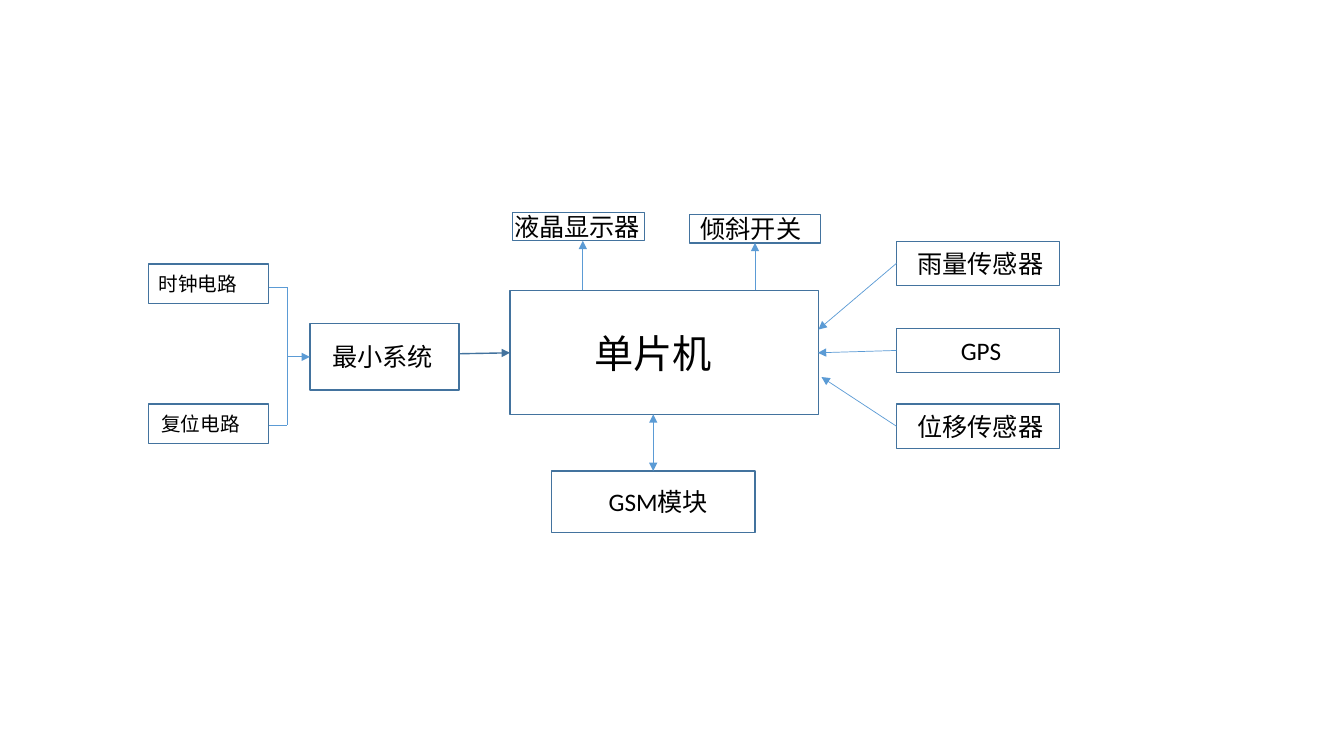
from pptx import Presentation
from pptx.dml.color import RGBColor
from pptx.enum.shapes import MSO_CONNECTOR, MSO_SHAPE
from pptx.enum.text import MSO_ANCHOR, PP_ALIGN
from pptx.oxml.ns import qn
from pptx.util import Pt
from lxml import etree

RECT = MSO_SHAPE.RECTANGLE
STRAIGHT = MSO_CONNECTOR.STRAIGHT
MIDDLE = MSO_ANCHOR.MIDDLE
LEFT = PP_ALIGN.LEFT
COLORS = {"fill": "FFFFFF", "border": "43739E", "arrow": "5B9BD5", "text": "000000"}
FONT = "Calibri"


def rgb(name):
    return RGBColor.from_string(COLORS[name])


def write(tf, text, size=18, color="text", indent=0):
    """Write one left-aligned line, indented from the left edge."""
    tf.word_wrap = True
    tf.vertical_anchor = MIDDLE
    tf.margin_left = Pt(indent)
    tf.margin_right = tf.margin_top = tf.margin_bottom = 0
    p = tf.paragraphs[0]
    p.alignment = LEFT
    r = p.add_run()
    r.text = text
    r.font.size = Pt(size)
    r.font.name = FONT
    r.font.color.rgb = rgb(color)


class Diagram:
    def __init__(self, slide):
        self.slide = slide

    def box(self, text, x, y, w, h, **fmt):
        sp = self.slide.shapes.add_shape(RECT, Pt(x), Pt(y), Pt(w), Pt(h))
        sp.shadow.inherit = False
        sp.fill.solid()
        sp.fill.fore_color.rgb = rgb("fill")
        sp.line.color.rgb = rgb("border")
        sp.line.width = Pt(1)
        write(sp.text_frame, text, **fmt)

    def line(self, x1, y1, x2, y2, ends=(), color="arrow", width=0.5):
        """Draw a line; ends lists headEnd and tailEnd where arrowheads go."""
        cn = self.slide.shapes.add_connector(STRAIGHT, Pt(x1), Pt(y1), Pt(x2), Pt(y2))
        cn.line.color.rgb = rgb(color)
        cn.line.width = Pt(width)
        ln = cn.line._get_or_add_ln()
        for end in ends:
            etree.SubElement(ln, qn("a:" + end)).set("type", "triangle")
        etree.SubElement(cn._element.spPr, qn("a:effectLst"))


TO_END = ("tailEnd",)
BOTH = ("headEnd", "tailEnd")

prs = Presentation()
prs.slide_width, prs.slide_height = Pt(960), Pt(540)
d = Diagram(prs.slides.add_slide(prs.slide_layouts[6]))

# Microcontroller and minimum system
d.box("单片机", 364.3, 207.4, 220.3, 88.6, size=28, indent=60)
d.box("最小系统", 221.4, 231.1, 106.6, 47.5, indent=16)
d.line(327.8, 252.7, 364.3, 252, TO_END, color="border", width=1)

# Clock and reset circuits joined by a trunk
trunk_x, top, bottom = 205.2, 205.2, 303.5
for text, y, indent, out_y in [("时钟电路", 188.6, 7, top), ("复位电路", 288.7, 9, bottom)]:
    d.box(text, 106.2, y, 85.7, 28.1, size=14, indent=indent)
    d.line(191.9, out_y, trunk_x, out_y)
d.line(trunk_x, top, trunk_x, bottom)
d.line(trunk_x, 254.9, 221.4, 254.9, TO_END)

# Display and tilt switch
for text, x, y, indent, arrow_x in [("液晶显示器", 366.3, 151.8, 1, 416.3),
                                    ("倾斜开关", 492.4, 153.3, 8, 539.3)]:
    d.box(text, x, y, 93.9, 20.2, indent=indent)
    d.line(arrow_x, 207.4, arrow_x, y + 20.2, TO_END)

# GSM module
d.box("GSM模块", 393.8, 336.4, 145.6, 43.9, indent=41)
d.line(466.6, 336.4, 466.6, 296, BOTH)

# Sensors
for text, y, indent, tip_x, tip_y in [("雨量传感器", 172.4, 15, 584.6, 235.4),
                                      ("GPS", 234.6, 46, 584.2, 252),
                                      ("位移传感器", 288.7, 15, 586.8, 269.3)]:
    d.box(text, 640.3, y, 116.4, 31.5, indent=indent)
    d.line(640.3, y + 15.75, tip_x, tip_y, TO_END)

prs.save("out.pptx")
